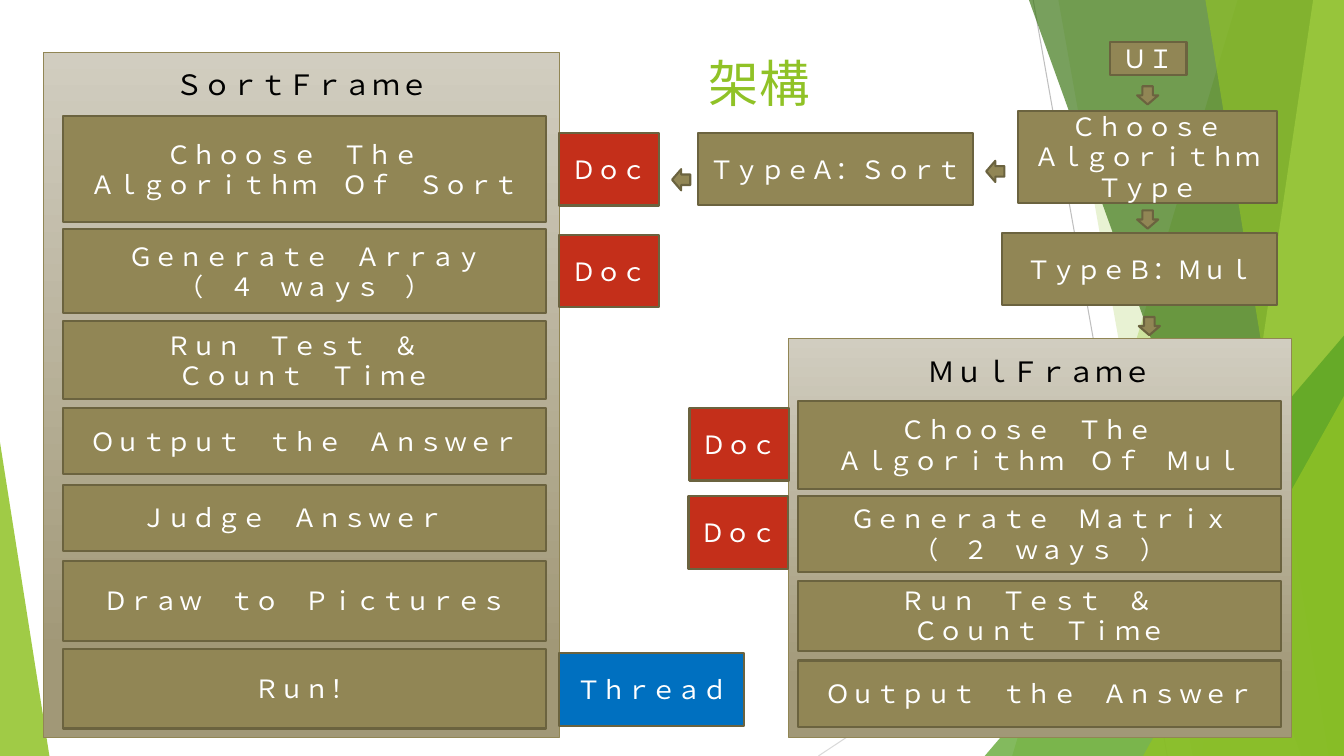
from dataclasses import dataclass

from lxml import etree
from pptx import Presentation
from pptx.dml.color import RGBColor
from pptx.enum.shapes import MSO_CONNECTOR, MSO_SHAPE
from pptx.enum.text import MSO_ANCHOR, MSO_AUTO_SIZE, PP_ALIGN
from pptx.oxml.ns import qn
from pptx.util import Pt

RECTANGLE = MSO_SHAPE.RECTANGLE
DOWN_ARROW = MSO_SHAPE.DOWN_ARROW
TRIANGLE = MSO_SHAPE.ISOSCELES_TRIANGLE
STRAIGHT = MSO_CONNECTOR.STRAIGHT
TOP, MIDDLE = MSO_ANCHOR.TOP, MSO_ANCHOR.MIDDLE
LEFT, CENTER = PP_ALIGN.LEFT, PP_ALIGN.CENTER
FIT_SHAPE = MSO_AUTO_SIZE.SHAPE_TO_FIT_TEXT
TITLE_ONLY = 5
SLIDE_WIDTH, SLIDE_HEIGHT = 960, 540


@dataclass(frozen=True)
class Theme:
    font: str = "Cabin"
    title_size: int = 36
    heading_size: int = 20
    box_size: int = 18
    green: str = "90C226"
    mid_green: str = "54A021"
    dark_green: str = "3F7819"
    light_green: str = "C0E474"
    olive: str = "918655"
    outline: str = "6B633F"
    panel_top: str = "D1CDC0"
    panel_bottom: str = "A19877"
    red: str = "C42F1A"
    blue: str = "0070C0"
    white: str = "FFFFFF"
    black: str = "000000"


THEME = Theme()

# Backdrop: (corner points, colour, opacity percent)
BANDS = [
    ([(884, 0), (960, 0), (960, 540), (723, 540)], THEME.green, 30),
    ([(756, 0), (960, 0), (960, 540), (851.8, 540)], THEME.green, 20),
    ([(735, 0), (960, 0), (960, 540), (929.5, 540)], THEME.dark_green, 70),
    ([(938, 0), (960, 0), (960, 540), (858.2, 540)], THEME.light_green, 70),
    ([(861, 0), (960, 0), (960, 540), (949, 540)], THEME.green, 65),
]
# (left, top, width, apex position, colour, opacity percent)
TRIANGLES = [
    (703.4, 239.8, 256.6, 1, THEME.mid_green, 72),
    (816.5, 283, 143.5, 1, THEME.green, 80),
    (0, 316, 35.3, 0, THEME.green, 85),
]
HAIRLINES = [(738, 0, 833.8, 540, "BFBFBF"), (960, 290.2, 584.6, 540, "D9D9D9")]

# Frames: panel box, heading box, steps as (top, height, lines)
SORT_FRAME = {
    "panel": (31, 37.4, 368.6, 489.6),
    "heading": ("ＳｏｒｔＦｒａｍｅ", 117.4, 44.6, 196.6, 31.7),
    "step_left": 45.3,
    "steps": [
        (82.8, 76.1, ["Ｃｈｏｏｓｅ　Ｔｈｅ　", "Ａｌｇｏｒｉｔｈｍ　Ｏｆ　Ｓｏｒｔ"]),
        (163.4, 60.5, ["Ｇｅｎｅｒａｔｅ　Ａｒｒａｙ", "（　４　ｗａｙｓ　）"]),
        (229.5, 55.5, ["Ｒｕｎ　Ｔｅｓｔ　＆　", "Ｃｏｕｎｔ　Ｔｉｍｅ"]),
        (291.6, 47.3, ["Ｏｕｔｐｕｔ　ｔｈｅ　Ａｎｓｗｅｒ"]),
        (346.2, 47.3, ["Ｊｕｄｇｅ　Ａｎｓｗｅｒ　"]),
        (400.8, 56.8, ["Ｄｒａｗ　ｔｏ　Ｐｉｃｔｕｒｅｓ"]),
        (463.6, 56.8, ["Ｒｕｎ！"]),
    ],
}
MUL_FRAME = {
    "panel": (563.2, 242, 359.3, 284.8),
    "heading": ("ＭｕｌＦｒａｍｅ", 654.5, 249.8, 176.4, 31.7),
    "step_left": 570.1,
    "steps": [
        (286.5, 62.6, ["Ｃｈｏｏｓｅ　Ｔｈｅ　", "Ａｌｇｏｒｉｔｈｍ　Ｏｆ　Ｍｕｌ"]),
        (354.3, 54.2, ["Ｇｅｎｅｒａｔｅ　Ｍａｔｒｉｘ", "（　２　ｗａｙｓ　）"]),
        (414.9, 49.8, ["Ｒｕｎ　Ｔｅｓｔ　＆　", "Ｃｏｕｎｔ　Ｔｉｍｅ"]),
        (471.8, 47.3, ["Ｏｕｔｐｕｔ　ｔｈｅ　Ａｎｓｗｅｒ"]),
    ],
}
STEP_WIDTH = 344.9

# Menu boxes and tags: (lines, left, top, width, height)
MENU = [
    (["ＵＩ"], 792.6, 30.1, 54.9, 23.6),
    (["Ｃｈｏｏｓｅ", "Ａｌｇｏｒｉｔｈｍ", "Ｔｙｐｅ"], 727.2, 79.2, 185, 65.7),
    (["ＴｙｐｅＡ：Ｓｏｒｔ"], 498.7, 95, 196.6, 51.7),
    (["ＴｙｐｅＢ：Ｍｕｌ"], 715.8, 166.5, 196.6, 51.7),
]
DOC_CORNERS = [(399.6, 95), (399.6, 167.8), (492.5, 291.5), (491.8, 354.4)]
DOC_SIZE = (71.3, 51.8)
THREAD_BOX = (399.6, 466.6, 131.8, 51.8)
# (left, top, rotation)
ARROWS = [(812.2, 61.6, 0), (812.2, 150.3, 0), (813.4, 226.4, 0),
          (703.4, 115.9, 90), (479, 121.9, 90)]
ARROW_SIZE = (15.1, 13)


def points(*values):
    return [Pt(value) for value in values]


def set_all(target, values):
    for name, value in values.items():
        setattr(target, name, value)


def paint(shape, color, opacity=100):
    shape.shadow.inherit = False
    shape.fill.solid()
    shape.fill.fore_color.rgb = RGBColor.from_string(color)
    if opacity < 100:
        color_element = shape.fill._xPr.find(".//" + qn("a:srgbClr"))
        etree.SubElement(color_element, qn("a:alpha")).set("val", str(opacity * 1000))


def outline(shape, color, width):
    shape.line.color.rgb = RGBColor.from_string(color)
    shape.line.width = Pt(width)


def write(shape, lines, size, color, frame_format, alignment=CENTER):
    frame = shape.text_frame
    frame.text = "\n".join(lines)
    set_all(frame, frame_format)
    for paragraph in frame.paragraphs:
        paragraph.alignment = alignment
        font = paragraph.runs[0].font
        set_all(font, {"name": THEME.font, "size": Pt(size)})
        font.color.rgb = RGBColor.from_string(color)


def add_box(slide, lines, box, color=THEME.olive):
    shape = slide.shapes.add_shape(RECTANGLE, *points(*box))
    paint(shape, color)
    outline(shape, THEME.outline, 1.5)
    write(shape, lines, THEME.box_size, THEME.white,
          {"word_wrap": True, "vertical_anchor": MIDDLE})


def add_arrow(slide, left, top, rotation):
    arrow = slide.shapes.add_shape(DOWN_ARROW, *points(left, top, *ARROW_SIZE))
    arrow.rotation = rotation
    paint(arrow, THEME.olive)
    outline(arrow, THEME.outline, 1.5)


def add_frame(slide, frame):
    panel = slide.shapes.add_shape(RECTANGLE, *points(*frame["panel"]))
    panel.shadow.inherit = False
    panel.fill.gradient()
    panel.fill.gradient_angle = 270
    stops = [(0, THEME.panel_top), (0.88, THEME.panel_bottom)]
    for stop, (position, color) in zip(panel.fill.gradient_stops, stops):
        stop.position = position
        stop.color.rgb = RGBColor.from_string(color)
    outline(panel, THEME.olive, 1)
    text, *box = frame["heading"]
    heading = slide.shapes.add_textbox(*points(*box))
    write(heading, [text], THEME.heading_size, THEME.black,
          {"word_wrap": False, "auto_size": FIT_SHAPE})
    for top, height, lines in frame["steps"]:
        add_box(slide, lines, (frame["step_left"], top, STEP_WIDTH, height))


def add_backdrop(slide):
    for *ends, color in HAIRLINES:
        line = slide.shapes.add_connector(STRAIGHT, *points(*ends))
        outline(line, color, 0.75)
        etree.SubElement(line._element.spPr, qn("a:effectLst"))
    shapes = []
    for corners, color, opacity in BANDS:
        start, *others = [points(*corner) for corner in corners]
        builder = slide.shapes.build_freeform(*start)
        builder.add_line_segments(others, close=True)
        shapes.append((builder.convert_to_shape(), color, opacity))
    for left, top, width, apex, color, opacity in TRIANGLES:
        box = points(left, top, width, SLIDE_HEIGHT - top)
        triangle = slide.shapes.add_shape(TRIANGLE, *box)
        triangle.adjustments[0] = apex
        shapes.append((triangle, color, opacity))
    for shape, color, opacity in shapes:
        paint(shape, color, opacity)
        shape.line.fill.background()


def add_title(slide, text):
    title = slide.shapes.title
    set_all(title, {"left": Pt(499), "top": Pt(33.8), "width": Pt(676.8), "height": Pt(103.7)})
    write(title, [text], THEME.title_size, THEME.green,
          {"word_wrap": True, "vertical_anchor": TOP}, LEFT)


def main():
    presentation = Presentation()
    set_all(presentation, {"slide_width": Pt(SLIDE_WIDTH), "slide_height": Pt(SLIDE_HEIGHT)})
    slide = presentation.slides.add_slide(presentation.slide_layouts[TITLE_ONLY])
    add_backdrop(slide)
    add_title(slide, "架構")
    # Menu flow
    for lines, *box in MENU:
        add_box(slide, lines, box)
    for arrow in ARROWS:
        add_arrow(slide, *arrow)
    # Frames and their tags
    for frame in (SORT_FRAME, MUL_FRAME):
        add_frame(slide, frame)
    for corner in DOC_CORNERS:
        add_box(slide, ["Ｄｏｃ"], (*corner, *DOC_SIZE), THEME.red)
    add_box(slide, ["Ｔｈｒｅａｄ"], THREAD_BOX, THEME.blue)
    presentation.save("out.pptx")


if __name__ == "__main__":
    main()
